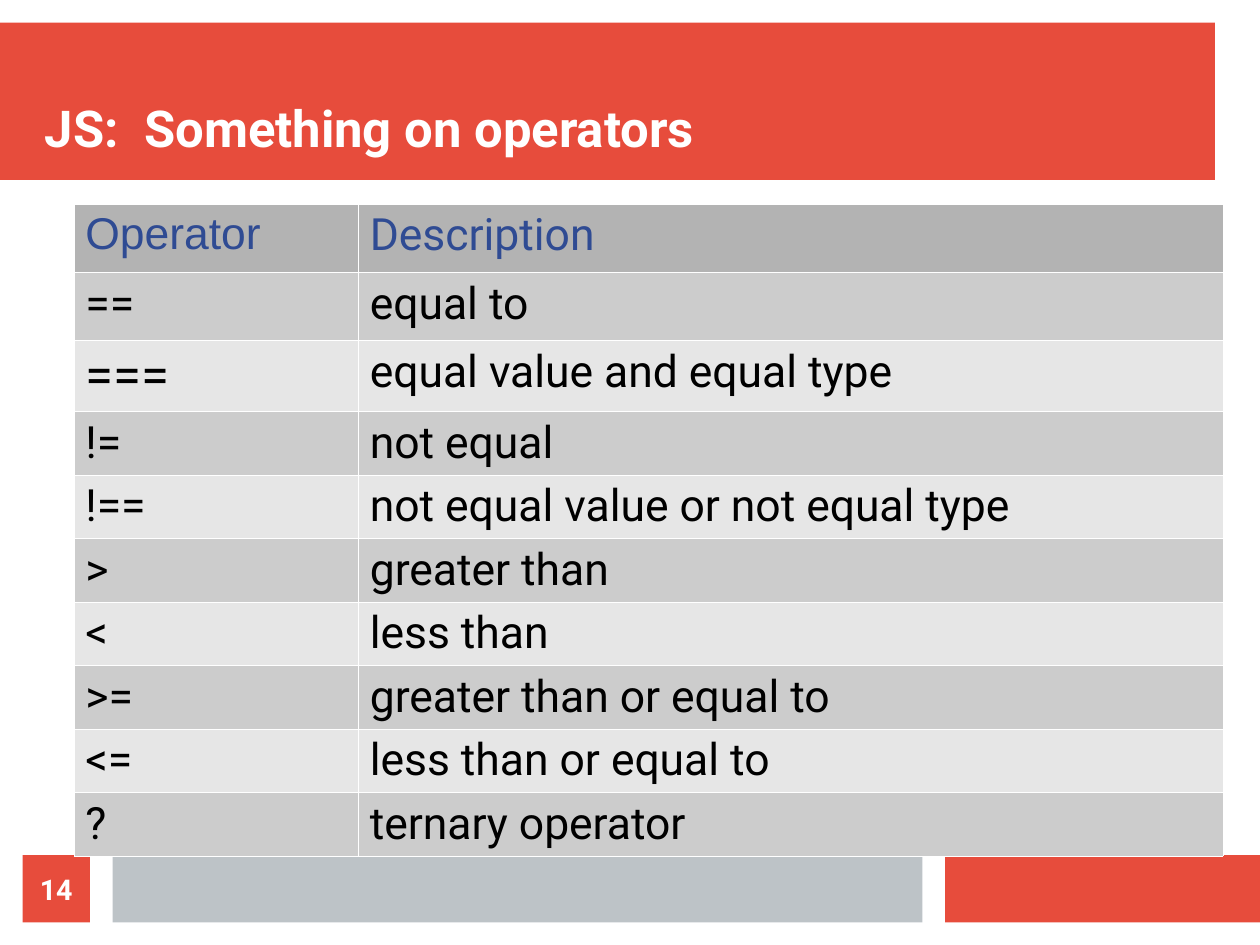
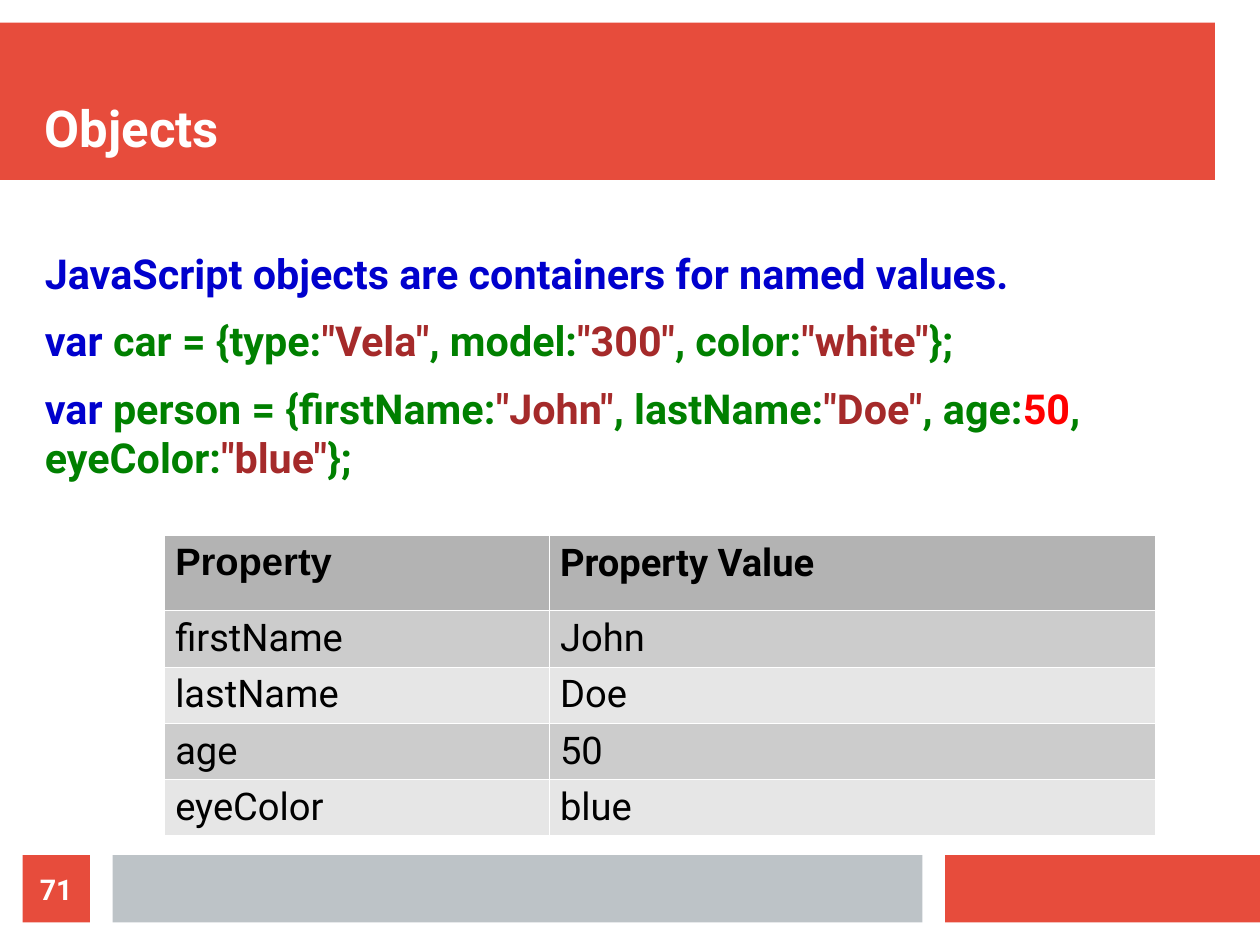
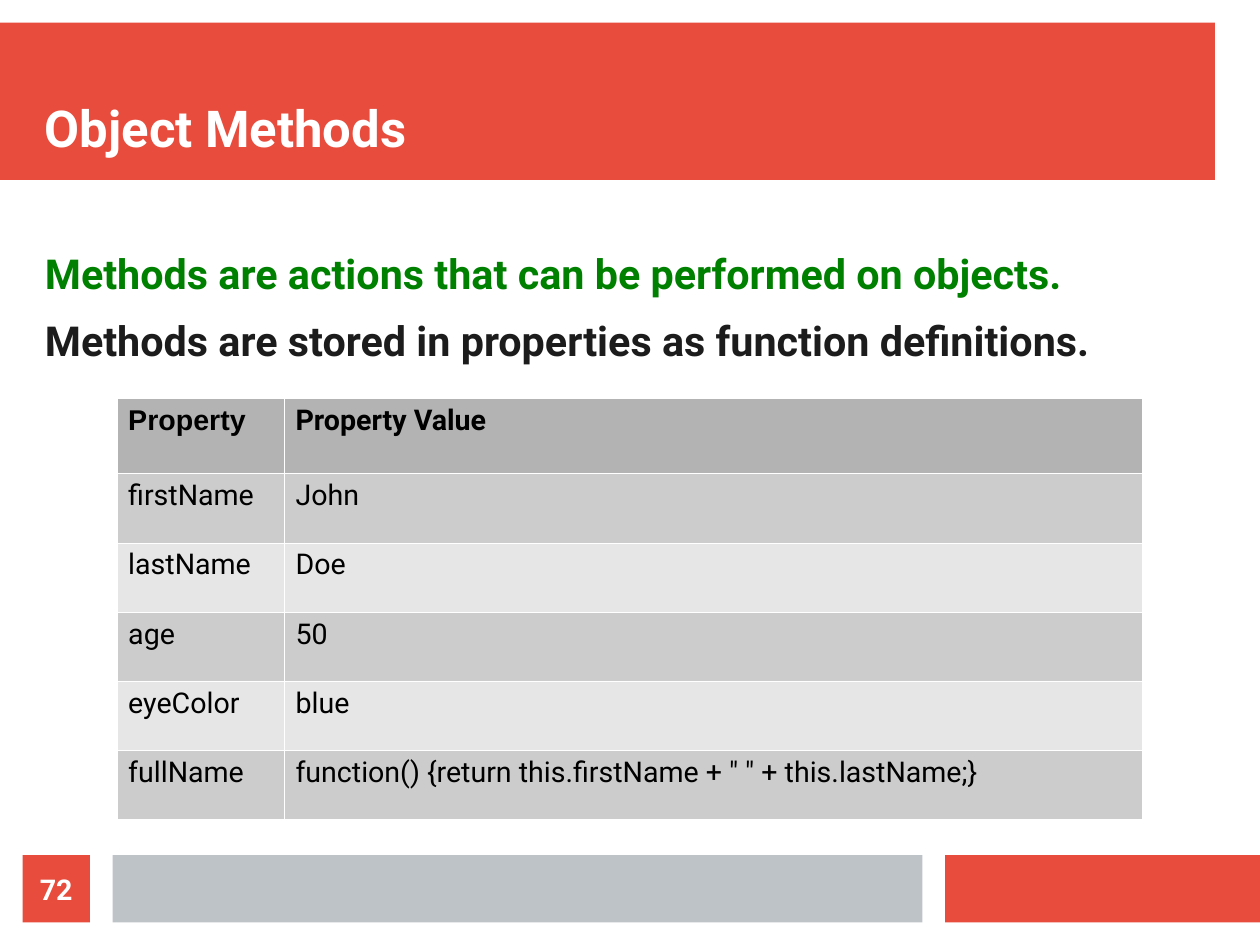
"""Build three lecture slides on JavaScript operators and objects."""
from lxml.etree import SubElement
from pptx import Presentation
from pptx.dml.color import RGBColor
from pptx.enum.shapes import MSO_SHAPE
from pptx.enum.text import MSO_ANCHOR, MSO_AUTO_SIZE, PP_ALIGN
from pptx.oxml.ns import qn
from pptx.util import Pt

COLOURS = {
    "red": "E74C3C", "grey": "BDC3C7", "white": "FFFFFF", "black": "000000",
    "header": "B3B3B3", "odd": "CCCCCC", "even": "E6E6E6", "heading": "2F4B93",
    "keyword": "0000CD", "code": "008000", "string": "A52A2A", "number": "FF0000",
    "ink": "1C1C1C",
}
FOOTER_TOP, FOOTER_HEIGHT = 538.6, 42.5
BANDS = [
    ("red", 0, 14.2, 765.4, 99.2),
    ("red", 595.3, FOOTER_TOP, 198.4, FOOTER_HEIGHT),
    ("grey", 70.9, FOOTER_TOP, 510.2, FOOTER_HEIGHT),
]
PERSON = [("firstName", "John"), ("lastName", "Doe"), ("age", "50"), ("eyeColor", "blue")]
SLIDES = [
    {
        "title": "JS:  Something on operators", "number": "14", "body": [],
        "place": (46.6, 128.5), "columns": (179.2, 544.8), "heights": [43] * 3 + [40] * 7,
        "size": 28, "header": {"bold": False, "colour": "heading"}, "sizes": {"===": 32},
        "rows": [
            ("Operator", "Description"),
            ("==", "equal to"),
            ("===", "equal value and equal type"),
            ("!=", "not equal"),
            ("!==", "not equal value or not equal type"),
            (">", "greater than"),
            ("<", "less than"),
            (">=", "greater than or equal to"),
            ("<=", "less than or equal to"),
            ("?", "ternary operator"),
        ],
    },
    {
        "title": "Objects", "number": "71",
        "body": [
            [("JavaScript objects are containers for named values.", "keyword")],
            [("var", "keyword"), (" car = {type:", "code"), ('"Vela"', "string"),
             (", model:", "code"), ('"300"', "string"), (", color:", "code"),
             ('"white"', "string"), ("};", "code")],
            [("var", "keyword"), (" person = {firstName:", "code"), ('"John"', "string"),
             (", lastName:", "code"), ('"Doe"', "string"), (", age:", "code"),
             ("50", "number"), (", eyeColor:", "code"), ('"blue"', "string"), ("};", "code")],
        ],
        "place": (103.2, 337.3), "columns": (242.4, 382.1), "heights": [47.3] + [35.3] * 4,
        "size": 24, "header": {"bold": True, "colour": "black"}, "sizes": {},
        "rows": [("Property", "Property Value")] + PERSON,
    },
    {
        "title": "Object Methods", "number": "72",
        "body": [
            [("Methods are actions that can be performed on objects.", "code")],
            [("Methods are stored in properties as function definitions.", "ink")],
        ],
        "place": (73.6, 251), "columns": (105.4, 540.4), "heights": [47.3] + [43.6] * 5,
        "size": 18, "header": {"bold": True, "colour": "black"}, "sizes": {},
        "rows": [("Property", "Property Value")] + PERSON + [
            ("fullName", 'function() {return this.firstName + " " + this.lastName;}')],
    },
]


def add_rectangle(page, colour, *place):
    shape = page.shapes.add_shape(MSO_SHAPE.RECTANGLE, *map(Pt, place))
    shape.shadow.inherit = False
    shape.fill.solid()
    shape.fill.fore_color.rgb = RGBColor.from_string(COLOURS[colour])
    shape.line.fill.background()
    return shape


def write(paragraph, text, size, colour, bold=True, name="Roboto"):
    span = paragraph.add_run()
    span.text = text
    for key, value in {"size": Pt(size), "bold": bold, "name": name}.items():
        setattr(span.font, key, value)
    span.font.color.rgb = RGBColor.from_string(COLOURS[colour])


deck = Presentation()
deck.slide_width, deck.slide_height = Pt(793.7), Pt(595.3)
layout = deck.slide_layouts[5]
pages = [deck.slides.add_slide(layout) for content in SLIDES]

for index, band in enumerate(BANDS):
    shape = add_rectangle(pages[0], *band)
    shape.element.nvSpPr.cNvPr.set("id", str(20 + index))
    layout.shapes.element.insert(2 + index, shape.element)

frame_format = {
    "margin_left": 0, "margin_right": 0, "margin_top": 0, "margin_bottom": 0,
    "word_wrap": True, "auto_size": MSO_AUTO_SIZE.NONE,
}

for page, content in zip(pages, SLIDES):
    title = page.shapes.title
    title.left, title.top, title.width, title.height = map(Pt, (28.3, 28.3, 737, 70.9))
    number = add_rectangle(page, "red", 14.2, FOOTER_TOP, FOOTER_HEIGHT, FOOTER_HEIGHT)
    frames = [
        (title, "title", 32, MSO_ANCHOR.BOTTOM, PP_ALIGN.LEFT),
        (number, "number", 18, MSO_ANCHOR.MIDDLE, PP_ALIGN.CENTER),
    ]
    for shape, key, size, anchor, alignment in frames:
        for attribute, value in frame_format.items():
            setattr(shape.text_frame, attribute, value)
        shape.text_frame.vertical_anchor = anchor
        paragraph = shape.text_frame.paragraphs[0]
        paragraph.alignment = alignment
        write(paragraph, content[key], size, "white")

    if content["body"]:
        box = page.shapes.add_textbox(*map(Pt, (28.3, 156.2, 723, 369)))
        for attribute, value in frame_format.items():
            setattr(box.text_frame, attribute, value)
        for index, spans in enumerate(content["body"]):
            paragraph = box.text_frame.add_paragraph() if index else box.text_frame.paragraphs[0]
            paragraph.space_after = Pt(11.4)
            for text, colour in spans:
                write(paragraph, text, 26, colour)

    rows, columns, heights = content["rows"], content["columns"], content["heights"]
    extent = (*content["place"], sum(columns), sum(heights))
    table = page.shapes.add_table(len(rows), len(columns), *map(Pt, extent)).table
    table.first_row = table.horz_banding = False
    for column, width in zip(table.columns, columns):
        column.width = Pt(width)
    for row_index, texts in enumerate(rows):
        table.rows[row_index].height = Pt(heights[row_index])
        fill = "header" if row_index == 0 else ("even", "odd")[row_index % 2]
        style = {"bold": False, "colour": "black"} if row_index else content["header"]
        for column_index, text in enumerate(texts):
            cell = table.cell(row_index, column_index)
            name = "Arial" if row_index == column_index == 0 else "Roboto"
            size = content["sizes"].get(text, content["size"])
            write(cell.text_frame.paragraphs[0], text, size, name=name, **style)
            properties = cell._tc.get_or_add_tcPr()
            for side in ("a:lnL", "a:lnR", "a:lnT", "a:lnB"):
                border = SubElement(properties, qn(side), w=str(Pt(0.06)))
                SubElement(SubElement(border, qn("a:solidFill")), qn("a:srgbClr"), val=COLOURS["white"])
            cell.fill.solid()
            cell.fill.fore_color.rgb = RGBColor.from_string(COLOURS[fill])

deck.save("out.pptx")
